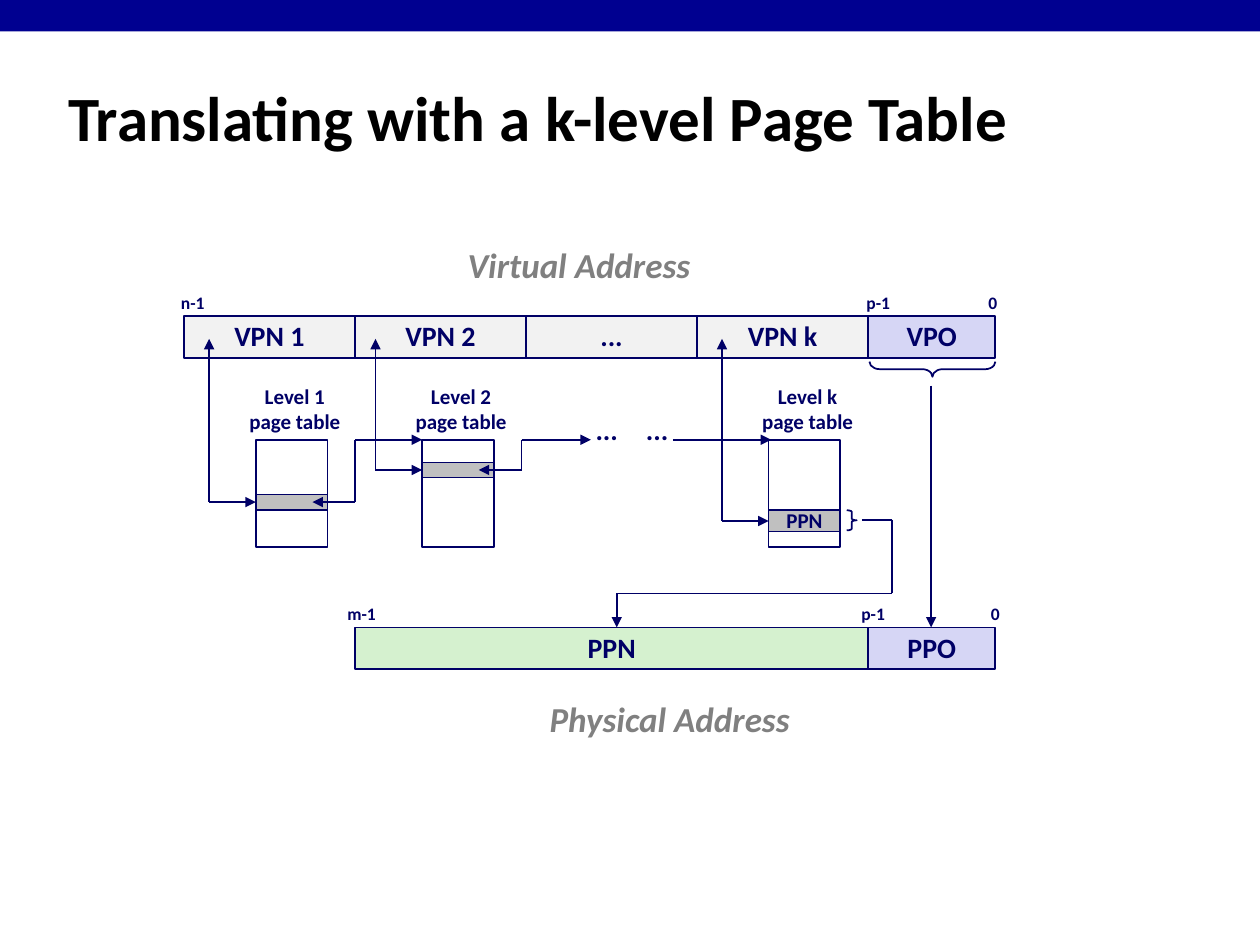
from itertools import pairwise

from lxml import etree
from pptx import Presentation
from pptx.dml.color import RGBColor
from pptx.enum.shapes import MSO_CONNECTOR, MSO_SHAPE
from pptx.enum.text import MSO_ANCHOR, MSO_AUTO_SIZE, PP_ALIGN
from pptx.oxml.ns import qn
from pptx.util import Inches, Pt

RECT, BRACE = MSO_SHAPE.RECTANGLE, MSO_SHAPE.RIGHT_BRACE
LINE = MSO_CONNECTOR.STRAIGHT
MID, GROW = MSO_ANCHOR.MIDDLE, MSO_AUTO_SIZE.SHAPE_TO_FIT_TEXT
LEFT, CENTER = PP_ALIGN.LEFT, PP_ALIGN.CENTER

# The slide is a grid of 100 columns by 75 rows
WIDE, HIGH = 100, 75
INK, GRAY, SLOT = "000066", "808080", "C0C0C0"
PALE, LILAC, GREEN = "F2F2F2", "D6D6F5", "D5F1CF"

BASE = dict(name="Calibri", bold=True, italic=False)
FIELD = BASE | dict(size=Pt(16))
SMALL = BASE | dict(size=Pt(12))
TICK = BASE | dict(size=Pt(10))
NAME = BASE | dict(size=Pt(20), italic=True)
HEAD = BASE | dict(size=Pt(36))


def cell(*nums):
    return [Inches(n / 10) for n in nums]


def tint(part, code):
    part.rgb = RGBColor.from_string(code)


def write(shape, text, style, color=INK, align=CENTER, pitch=0.98):
    frame = shape.text_frame
    frame.text = text
    frame.vertical_anchor = MID
    frame.word_wrap = align == LEFT
    for para in frame.paragraphs:
        para.alignment = align
        para.line_spacing = pitch
        for key, value in style.items():
            setattr(para.font, key, value)
        tint(para.font.color, color)


def label(slide, mid, top, wide, high, text, style, color=INK):
    box = slide.shapes.add_textbox(*cell(mid - wide / 2, top, wide, high))
    write(box, text, style, color)
    box.text_frame.auto_size = GROW


def block(slide, box, fill=None, text="", style=FIELD, kind=RECT, line=INK):
    shape = slide.shapes.add_shape(kind, *cell(*box))
    shape.shadow.inherit = False
    if fill:
        shape.fill.solid()
        tint(shape.fill.fore_color, fill)
    else:
        shape.fill.background()
    if line:
        tint(shape.line.color, line)
        shape.line.width = Pt(1)
    else:
        shape.line.fill.background()
    if text:
        write(shape, text, style)
    return shape


def route(slide, *spots, head=False, tail=False):
    """Join the spots with straight lines, with arrowheads at the ends."""
    legs = list(pairwise(spots))
    for i, (start, end) in enumerate(legs):
        leg = slide.shapes.add_connector(LINE, *cell(*start, *end))
        tint(leg.line.color, INK)
        leg.line.width = Pt(1)
        etree.SubElement(leg.element.spPr, qn("a:effectLst"))
        pen = leg.line._get_or_add_ln()
        if head and i == 0:
            etree.SubElement(pen, qn("a:headEnd"), type="triangle")
        if tail and i == len(legs) - 1:
            etree.SubElement(pen, qn("a:tailEnd"), type="triangle")


def title(slide, box, text):
    shape = slide.shapes.title
    spots = dict(zip(("left", "top", "width", "height"), cell(*box)))
    for key, value in spots.items():
        setattr(shape, key, value)
    write(shape, text, HEAD, "000000", LEFT, 1.0)


def address(slide, box, parts, ticks):
    """Draw fields by their share of the box, with bit numbers above."""
    left, top, wide, high = box
    total = sum(share for _, share, _ in parts)
    for text, share, fill in parts:
        span = wide * share / total
        block(slide, (left, top, span, high), fill, text)
        left += span
    for text, shift in ticks:
        label(slide, box[0] + shift, top - 2.35, 5, 2.7, text, TICK)


def level(slide, box, name, slot, text="", link=None):
    """Draw one page table, its index arrow and the link to the next."""
    left, top, wide, high = box
    drop, deep = slot
    mid = top + drop + deep / 2
    block(slide, box)
    block(slide, (left, top + drop, wide, deep), SLOT, text, SMALL)
    route(slide, (left - 3.7, 26.9), (left - 3.7, mid), (left, mid),
          head=True, tail=True)
    label(slide, left + wide / 2 + 0.25, top - 4.9, 9.3, 5,
          f"{name}\npage table", SMALL)
    if link:
        bend = left + wide + 2.2
        route(slide, (left + 4.5, mid), (bend, mid), (bend, top),
              (link, top), head=True, tail=True)


def output(slide, left, top, base):
    """Carry the page number and the offset down to the lower address."""
    clip = block(slide, (left, top - 0.75, 0.8, 1.6), kind=BRACE)
    clip.adjustments[0] = 0.16
    bend, drop = left + 3.6, base - 2.7
    route(slide, (left + 1.2, top), (bend, top), (bend, drop),
          (48.95, drop), (48.95, base), tail=True)
    span = block(slide, (73.4, 24.3, 1.2, 10), kind=BRACE)
    span.rotation = 90
    span.adjustments[0] = 0.68
    route(slide, (73.9, 30.6), (73.9, base), tail=True)


def main():
    deck = Presentation()
    deck.slide_width, deck.slide_height = cell(WIDE, HIGH)
    slide = deck.slides.add_slide(deck.slide_layouts[5])

    # Top bar and title
    block(slide, (0, 0, WIDE, 2.5), "000090", line=None)
    title(slide, (4.4, 4.9, 90.6, 8.6),
          "Translating with a k-level Page Table")

    # Virtual address
    label(slide, 45.95, 19, 19.9, 4.3, "Virtual Address", NAME, GRAY)
    names = ("VPN 1", "VPN 2", "...", "VPN k")
    parts = [(name, 13.57, PALE) for name in names]
    address(slide, (14.6, 25.1, 64.4, 3.3), parts + [("VPO", 10.1, LILAC)],
            [("n-1", 0.7), ("p-1", 55.1), ("0", 64.2)])

    # Page tables
    tables = (
        (20.3, "Level 1", (4.35, 1.2), "", 33.5),
        (33.5, "Level 2", (1.8, 1.2), "", 46.9),
        (61, "Level k", (5.6, 1.7), "PPN", None),
    )
    for left, *rest in tables:
        level(slide, (left, 34.9, 5.7, 8.5), *rest)
    for mid in (48.15, 52.15):
        label(slide, mid, 32.4, 3.9, 3.6, "...", FIELD)
    route(slide, (53.4, 34.9), (61.2, 34.9), tail=True)

    # Physical address
    address(slide, (28.2, 49.8, 50.8, 3.3),
            [("PPN", 40.7, GREEN), ("PPO", 10.1, LILAC)],
            [("m-1", 0.5), ("p-1", 41.1), ("0", 50.8)])
    label(slide, 53.15, 55, 21.3, 4.3, "Physical Address", NAME, GRAY)
    output(slide, 67.2, 41.25, 49.8)

    deck.save("out.pptx")


if __name__ == "__main__":
    main()
